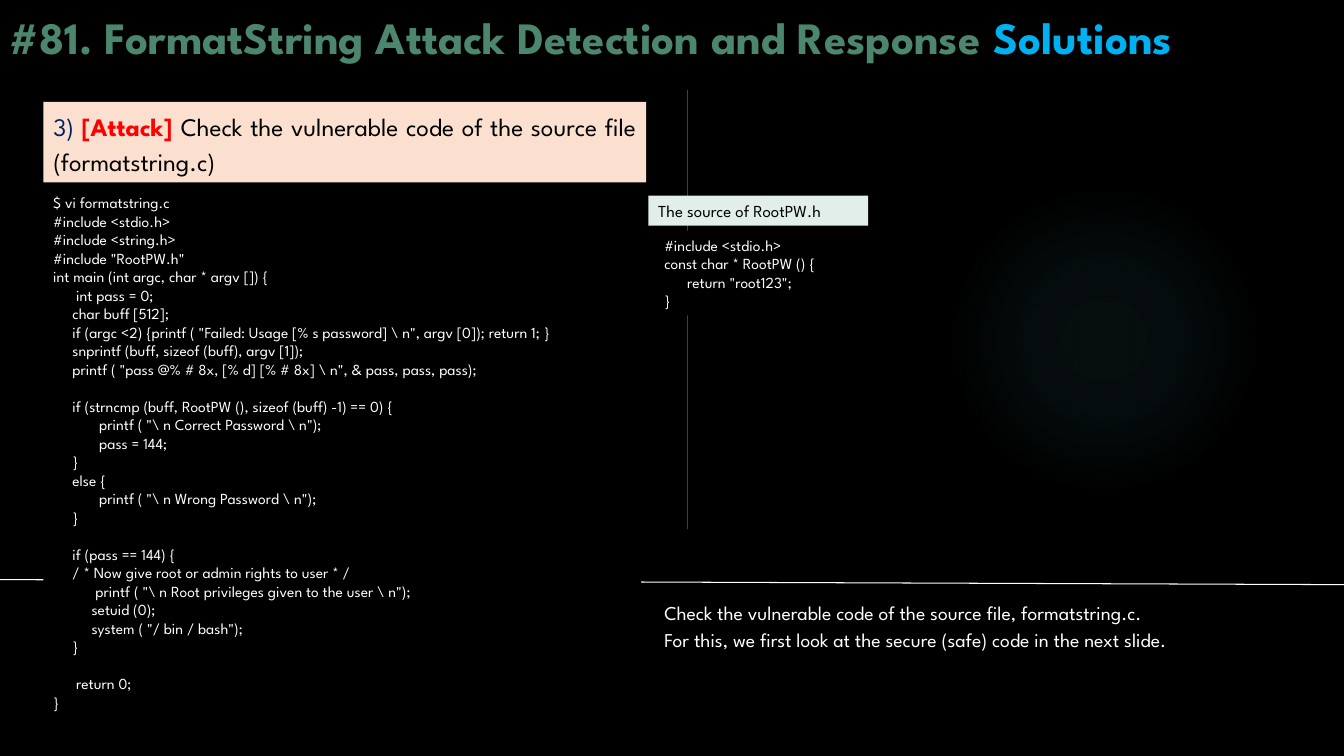
from dataclasses import dataclass

from lxml import etree
from pptx import Presentation
from pptx.dml.color import RGBColor
from pptx.enum.shapes import MSO_CONNECTOR, MSO_SHAPE
from pptx.enum.text import MSO_ANCHOR, PP_ALIGN
from pptx.oxml import parse_xml
from pptx.oxml.ns import nsdecls, qn
from pptx.util import Inches, Pt

RECTANGLE, OVAL = MSO_SHAPE.RECTANGLE, MSO_SHAPE.OVAL
STRAIGHT = MSO_CONNECTOR.STRAIGHT
TOP = MSO_ANCHOR.TOP
LEFT, JUSTIFY = PP_ALIGN.LEFT, PP_ALIGN.JUSTIFY

TITLE = [("#81. FormatString Attack Detection and Response ", "green", True),
         ("Solutions", "sky", True)]
STEP = [("3) ", "navy", False), ("[Attack] ", "red", True),
        ("Check the vulnerable code of the source file (formatstring.c)", "black", False)]
MAIN_CODE = [
    [
        (0, "$ vi formatstring.c"),
        (0, "#include <stdio.h>"),
        (0, "#include <string.h>"),
        (0, '#include "RootPW.h"'),
        (0, "int main (int argc, char * argv []) {"),
        (6, "int pass = 0;"),
        (5, "char buff [512];"),
        (5, 'if (argc <2) {printf ( "Failed: Usage [% s password] \\ n", argv [0]); return 1; }'),
        (5, "snprintf (buff, sizeof (buff), argv [1]);"),
        (5, 'printf ( "pass @% # 8x, [% d] [% # 8x] \\ n", & pass, pass, pass);'),
    ],
    [
        (5, "if (strncmp (buff, RootPW (), sizeof (buff) -1) == 0) {"),
        (12, 'printf ( "\\ n Correct Password \\ n");'),
        (12, "pass = 144;"),
        (5, "}"),
        (5, "else {"),
        (12, 'printf ( "\\ n Wrong Password \\ n");'),
        (5, "}"),
    ],
    [
        (5, "if (pass == 144) {"),
        (5, "/ * Now give root or admin rights to user * /"),
        (11, 'printf ( "\\ n Root privileges given to the user \\ n");'),
        (10, "setuid (0);"),
        (10, 'system ( "/ bin / bash");'),
        (5, "}"),
    ],
    [(6, "return 0;"), (0, "}")],
]
HEADER_CODE = [[(0, "#include <stdio.h>"), (0, "const char * RootPW () {"),
                (6, 'return "root123";'), (0, "}")]]
HEADER_LABEL = "The source of RootPW.h"
NOTES = ["Check the vulnerable code of the source file, formatstring.c.",
         "For this, we first look at the secure (safe) code in the next slide."]


@dataclass(frozen=True)
class Theme:
    font = "League Spartan"
    black, white = "000000", "FFFFFF"
    green, sky, navy, red = "4B866D", "00B0F0", "002060", "FF0000"
    peach, mint, rule, glow = "FBE0CF", "E1EEE9", "404040", "50B9C1"
    title, step, note, label, code = 32, 18, 14, 12, 11
    line_height = 1.2
    indent_width = 0.038
    rule_width = 0.75


THEME = Theme()
WIDTH, HEIGHT = 13.33, 7.5
LEFT_EDGE, RIGHT_EDGE = 0.43, 6.49


def color(name):
    return RGBColor.from_string(getattr(THEME, name))


def add_panel(slide, box, fill=None, wrap=True):
    lengths = [Inches(value) for value in box]
    if fill:
        shape = slide.shapes.add_shape(RECTANGLE, *lengths)
        shape.shadow.inherit = False
        shape.fill.solid()
        shape.fill.fore_color.rgb = color(fill)
        shape.line.fill.background()
    else:
        shape = slide.shapes.add_textbox(*lengths)
    shape.text_frame.word_wrap = wrap
    shape.text_frame.vertical_anchor = TOP
    return shape.text_frame


def add_paragraph(frame, size, text="", ink="white"):
    first = frame.paragraphs[0]
    paragraph = frame.add_paragraph() if first.runs else first
    paragraph.alignment = LEFT
    paragraph.font.name = THEME.font
    paragraph.font.size = Pt(size)
    paragraph.font.color.rgb = color(ink)
    if text:
        paragraph.add_run().text = text
    return paragraph


def add_parts(frame, size, parts):
    paragraph = add_paragraph(frame, size)
    for text, ink, bold in parts:
        run = paragraph.add_run()
        run.text = text
        run.font.bold = bold
        run.font.color.rgb = color(ink)
    return paragraph


def add_code(frame, blocks):
    for block_index, block in enumerate(blocks):
        for line_index, (spaces, text) in enumerate(block):
            paragraph = add_paragraph(frame, THEME.code, text)
            properties = paragraph._p.get_or_add_pPr()
            properties.set("marL", str(Inches(spaces * THEME.indent_width)))
            properties.set("indent", "0")
            if block_index and not line_index:
                paragraph.space_before = Pt(THEME.code * THEME.line_height)


def add_rule(slide, start, end, ink):
    ends = [Inches(value) for value in (*start, *end)]
    rule = slide.shapes.add_connector(STRAIGHT, *ends)
    rule.line.color.rgb = color(ink)
    rule.line.width = Pt(THEME.rule_width)
    etree.SubElement(rule._element.spPr, qn("a:effectLst"))


def add_glow(slide, left, top, size):
    glow = slide.shapes.add_shape(OVAL, *[Inches(value) for value in (left, top, size, size)])
    glow.shadow.inherit = False
    glow.line.fill.background()
    stops = "".join(
        f'<a:gs pos="{place * 1000}"><a:srgbClr val="{THEME.glow}">'
        f'<a:alpha val="{alpha * 1000}"/></a:srgbClr></a:gs>'
        for place, alpha in ((0, 7), (36, 6), (69, 0)))
    gradient = parse_xml(
        f'<a:gradFill {nsdecls("a")}><a:gsLst>{stops}</a:gsLst><a:path path="circle">'
        '<a:fillToRect l="50000" t="50000" r="50000" b="50000"/></a:path></a:gradFill>')
    glow._element.spPr.find(qn("a:prstGeom")).addnext(gradient)


def main():
    presentation = Presentation()
    presentation.slide_width, presentation.slide_height = Inches(WIDTH), Inches(HEIGHT)
    slide = presentation.slides.add_slide(presentation.slide_layouts[6])
    slide.background.fill.solid()
    slide.background.fill.fore_color.rgb = color("black")

    add_glow(slide, 9.41, 1.83, 3.08)
    add_rule(slide, (0, 5.75), (WIDTH, 5.8), "white")

    step = add_panel(slide, (LEFT_EDGE, 1.01, 5.98, 0.8), "peach")
    paragraph = add_parts(step, THEME.step, STEP)
    paragraph.alignment = JUSTIFY
    paragraph.line_spacing = 1.15
    paragraph.space_after = Pt(10)

    add_rule(slide, (6.82, 0.89), (6.82, 5.25), "rule")
    add_parts(add_panel(slide, (0, 0.05, 13.44, 1)), THEME.title, TITLE)
    add_code(add_panel(slide, (LEFT_EDGE, 1.87, 5.93, 5.28), "black"), MAIN_CODE)
    add_code(add_panel(slide, (RIGHT_EDGE, 2.29, 2.03, 0.84), "black", False), HEADER_CODE)
    label = add_panel(slide, (6.43, 1.94, 2.18, 0.3), "mint", False)
    add_paragraph(label, THEME.label, HEADER_LABEL, "black")

    notes = add_panel(slide, (RIGHT_EDGE, 5.91, 5.86, 1.25))
    for text in NOTES:
        add_paragraph(notes, THEME.note, text).space_before = Pt(THEME.note * 0.2)

    presentation.save("out.pptx")


if __name__ == "__main__":
    main()
